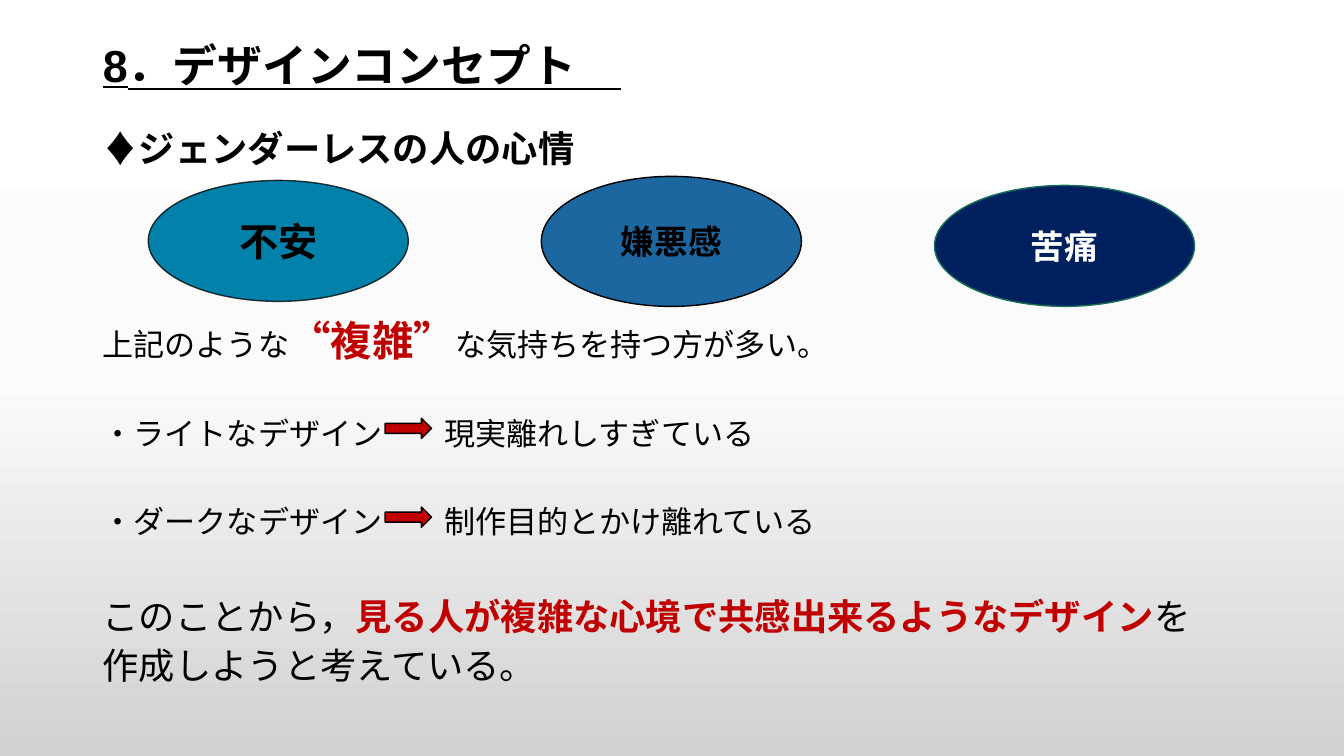
from dataclasses import dataclass
from typing import Optional

import lxml.etree
import pptx
import pptx.dml.color
import pptx.enum.shapes
import pptx.enum.text
import pptx.oxml.ns
import pptx.util

Pt = pptx.util.Pt
qn = pptx.oxml.ns.qn
SHAPE = pptx.enum.shapes.MSO_SHAPE
ANCHOR = pptx.enum.text.MSO_ANCHOR
ALIGN = pptx.enum.text.PP_ALIGN

WIDTH, HEIGHT = pptx.util.Inches(13.33), pptx.util.Inches(7.5)
CJK = "Noto Sans CJK JP"
COLORS = {
    "text": "000000", "light": "FFFFFF", "accent": "C00000",
    "anxiety": "0282AA", "disgust": "1C67A0", "pain": "002060", "pain_edge": "157259",
}
BACKGROUND_STOPS = {0: "FFFFFF", 50: "FBFBFB", 100: "D1D1D1"}


@dataclass
class Box:
    """Left, top, width and height as percentages of the slide."""
    left: float
    top: float
    width: float
    height: float

    def emu(self) -> tuple[int, int, int, int]:
        return (int(WIDTH * self.left / 100), int(HEIGHT * self.top / 100),
                int(WIDTH * self.width / 100), int(HEIGHT * self.height / 100))


@dataclass
class Feeling:
    label: str
    top: float
    height: float
    size: float
    fill: str
    edge: str = "text"
    color: str = "text"
    edge_alpha: int = 100


@dataclass
class Line:
    """A body line; text between asterisks is emphasised."""
    text: str
    size: float
    before: float = 0
    font: str = CJK
    bold: bool = False
    emphasis_size: Optional[float] = None
    tab: Optional[float] = None


TITLE_BOX = Box(6.9, 4.27, 86.27, 9.33)
BODY_BOX = Box(6.9, 16.8, 86.27, 75.07)
FEELING_LEFT, FEELING_STEP, FEELING_WIDTH = 11.03, 29.25, 19.35
ARROW_TOPS = (55.33, 67.07)
RESULT_TAB = 25.4
LINE_PITCH = 27

FEELINGS = [
    Feeling("不安", 23.87, 16, 28, "anxiety", edge_alpha=77),
    Feeling("嫌悪感", 23.33, 17.2, 24, "disgust"),
    Feeling("苦痛", 24.53, 16, 24, "pain", edge="pain_edge", color="light"),
]
LINES = [
    Line("♦ジェンダーレスの人の心情", 25.9, font="Calibri", bold=True),
    Line("上記のような*“複雑”*な気持ちを持つ方が多い。", 22.2, 112.5, emphasis_size=29.6),
    Line("・ライトなデザイン\t現実離れしすぎている", 22.2, 35, tab=RESULT_TAB),
    Line("・ダークなデザイン\t制作目的とかけ離れている", 22.2, 36, tab=RESULT_TAB),
    Line("このことから，*見る人が複雑な心境で共感出来るようなデザイン*を", 25.9, 42.5),
    Line("作成しようと考えている。", 25.9, 8),
]


def rgb(name: str) -> pptx.dml.color.RGBColor:
    return pptx.dml.color.RGBColor.from_string(COLORS[name])


def style(p, font: str, size: float, color: str = "text", bold: bool = True) -> None:
    p.font.name, p.font.size, p.font.bold = font, Pt(size), bold
    p.font.color.rgb = rgb(color)
    props = p._p.pPr.find(qn("a:defRPr"))
    lxml.etree.SubElement(props, qn("a:ea"), typeface=CJK)


def paint_background(s) -> None:
    fill = s.background.fill
    fill.gradient()
    fill.gradient_angle = 270
    stops = s._element.find(".//" + qn("a:gsLst"))
    for stop in list(stops):
        stops.remove(stop)
    for position, color in BACKGROUND_STOPS.items():
        stop = lxml.etree.SubElement(stops, qn("a:gs"), pos=str(position * 1000))
        lxml.etree.SubElement(stop, qn("a:srgbClr"), val=color)


def add_title(s, text: str) -> None:
    sp = s.shapes.title
    sp.left, sp.top, sp.width, sp.height = TITLE_BOX.emu()
    tf = sp.text_frame
    tf.text, tf.vertical_anchor = text, ANCHOR.MIDDLE
    p = tf.paragraphs[0]
    p.alignment, p.line_spacing = ALIGN.LEFT, 0.9
    p.font.underline = True
    style(p, "Arial", 32)


def add_body(s, lines: list[Line]) -> None:
    tf = s.shapes.add_textbox(*BODY_BOX.emu()).text_frame
    tf.word_wrap = True
    for i, line in enumerate(lines):
        p = tf.add_paragraph() if i else tf.paragraphs[0]
        p.line_spacing, p.space_before = Pt(LINE_PITCH), Pt(line.before)
        if line.tab:
            tabs = lxml.etree.SubElement(p._p.get_or_add_pPr(), qn("a:tabLst"))
            lxml.etree.SubElement(tabs, qn("a:tab"), pos=str(int(WIDTH * line.tab / 100)), algn="l")
        style(p, line.font, line.size, bold=line.bold)
        for j, part in enumerate(line.text.split("*")):
            r = p.add_run()
            r.text = part
            if j % 2:
                r.font.bold, r.font.color.rgb = True, rgb("accent")
                r.font.size = Pt(line.emphasis_size or line.size)


def add_filled(s, kind, box: Box, fill: str, edge: str = "text"):
    sp = s.shapes.add_shape(kind, *box.emu())
    sp.shadow.inherit = False
    sp.fill.solid()
    sp.fill.fore_color.rgb = rgb(fill)
    sp.line.color.rgb, sp.line.width = rgb(edge), Pt(1)
    return sp


def add_feeling(s, column: int, feeling: Feeling) -> None:
    box = Box(FEELING_LEFT + column * FEELING_STEP, feeling.top, FEELING_WIDTH, feeling.height)
    sp = add_filled(s, SHAPE.OVAL, box, feeling.fill, feeling.edge)
    if feeling.edge_alpha < 100:
        color = sp._element.spPr.find(qn("a:ln")).find(".//" + qn("a:srgbClr"))
        lxml.etree.SubElement(color, qn("a:alpha"), val=str(feeling.edge_alpha * 1000))
    tf = sp.text_frame
    tf.text, tf.vertical_anchor = feeling.label, ANCHOR.MIDDLE
    p = tf.paragraphs[0]
    p.alignment = ALIGN.CENTER
    style(p, "Calibri", feeling.size, feeling.color)


def main() -> None:
    prs = pptx.Presentation()
    prs.slide_width, prs.slide_height = WIDTH, HEIGHT
    s = prs.slides.add_slide(prs.slide_layouts.get_by_name("Title Only"))
    paint_background(s)
    add_title(s, "8．デザインコンセプト　")
    add_body(s, LINES)
    for column, feeling in enumerate(FEELINGS):
        add_feeling(s, column, feeling)
    for top in ARROW_TOPS:
        add_filled(s, SHAPE.RIGHT_ARROW, Box(28.66, top, 3.45, 2.67), "accent")
    prs.save("out.pptx")


if __name__ == "__main__":
    main()
